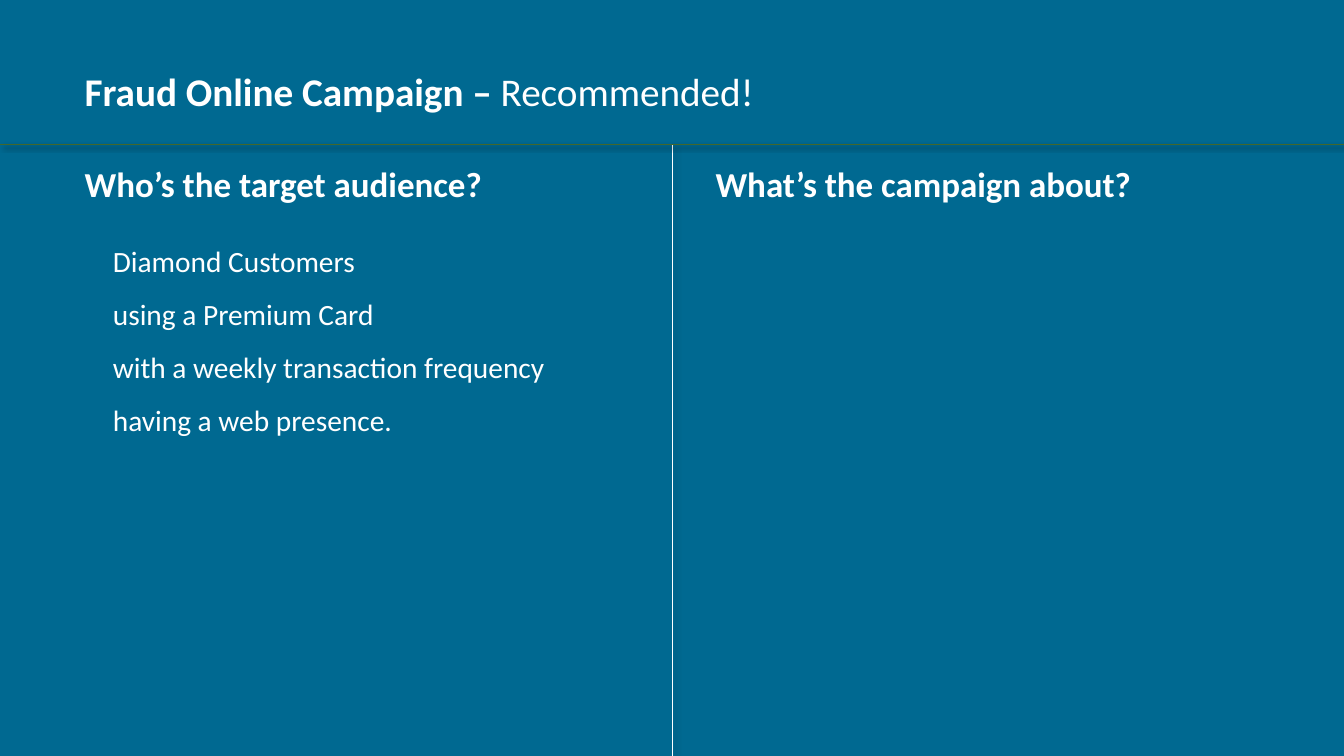
import pptx
import pptx.util
import pptx.dml.color
import pptx.enum.shapes
import pptx.enum.text
import lxml.etree
from pptx.util import Cm

COLOURS = {"background": "006991", "text": "FFFFFF", "rule": "43682B", "shadow": "000000"}


def colour(name):
    return pptx.dml.color.RGBColor.from_string(COLOURS[name])


def fill_placeholder(holder, place, lines, size, spacing):
    holder.left, holder.top, holder.width, holder.height = [Cm(n) for n in place]
    frame = holder.text_frame
    frame.word_wrap = True
    frame.auto_size = pptx.enum.text.MSO_AUTO_SIZE.NONE
    frame.vertical_anchor = pptx.enum.text.MSO_ANCHOR.TOP
    for number, runs in enumerate(lines):
        para = frame.add_paragraph() if number else frame.paragraphs[0]
        para.alignment = pptx.enum.text.PP_ALIGN.LEFT
        para.line_spacing = spacing
        para.space_before = pptx.util.Pt(0)
        properties = para._p.get_or_add_pPr()
        properties.set("marL", "0")
        properties.set("indent", "0")
        lxml.etree.SubElement(properties, pptx.oxml.ns.qn("a:buNone"))
        for text, bold in runs:
            span = para.add_run()
            span.text = text
            span.font.name = "Calibri"
            span.font.size = pptx.util.Pt(size)
            span.font.bold = bold
            span.font.color.rgb = colour("text")


deck = pptx.Presentation()
deck.slide_width, deck.slide_height = Cm(33.87), Cm(19.05)
page = deck.slides.add_slide(deck.slide_layouts.get_by_name("Comparison"))
page.background.fill.solid()
page.background.fill.fore_color.rgb = colour("background")
title, audience_heading, audience_list, campaign_heading, spare = page.placeholders
spare.element.getparent().remove(spare.element)

fill_placeholder(title, (1.88, 1.7, 23.88, 1.47),
                 [[("Fraud Online Campaign –", True), (" Recommended!", False)]], 28, 0.9)

for heading, left, text in [
    (audience_heading, 1.88, "Who’s the target audience?"),
    (campaign_heading, 17.78, "What’s the campaign about?"),
]:
    fill_placeholder(heading, (left, 4.09, 12.1, 1.47), [[(text, True)]], 25, 0.9)

audience = [
    "Diamond Customers",
    "using a Premium Card",
    "with a weekly transaction frequency",
    "having a web presence.",
]
fill_placeholder(audience_list, (2.59, 5.56, 11.73, 5.99),
                 [[(text, False)] for text in audience], 21, 1.5)

for name, start_x, end_x, end_y in [
    ("text", 16.94, 16.94, 19.05),
    ("rule", 0, 33.87, 3.63),
]:
    divider = page.shapes.add_connector(
        pptx.enum.shapes.MSO_CONNECTOR.STRAIGHT, Cm(start_x), Cm(3.63), Cm(end_x), Cm(end_y))
    divider.line.color.rgb = colour(name)
    divider.line.width = pptx.util.Pt(0.5)
    effects = lxml.etree.SubElement(divider.element.spPr, pptx.oxml.ns.qn("a:effectLst"))
    shadow = lxml.etree.SubElement(
        effects, pptx.oxml.ns.qn("a:outerShdw"), blurRad=str(pptx.util.Pt(4)),
        dist=str(pptx.util.Pt(3)), dir=str(45 * 60000), algn="tl", rotWithShape="0")
    shade = lxml.etree.SubElement(shadow, pptx.oxml.ns.qn("a:srgbClr"), val=COLOURS["shadow"])
    lxml.etree.SubElement(shade, pptx.oxml.ns.qn("a:alpha"), val="40000")

deck.save("out.pptx")
